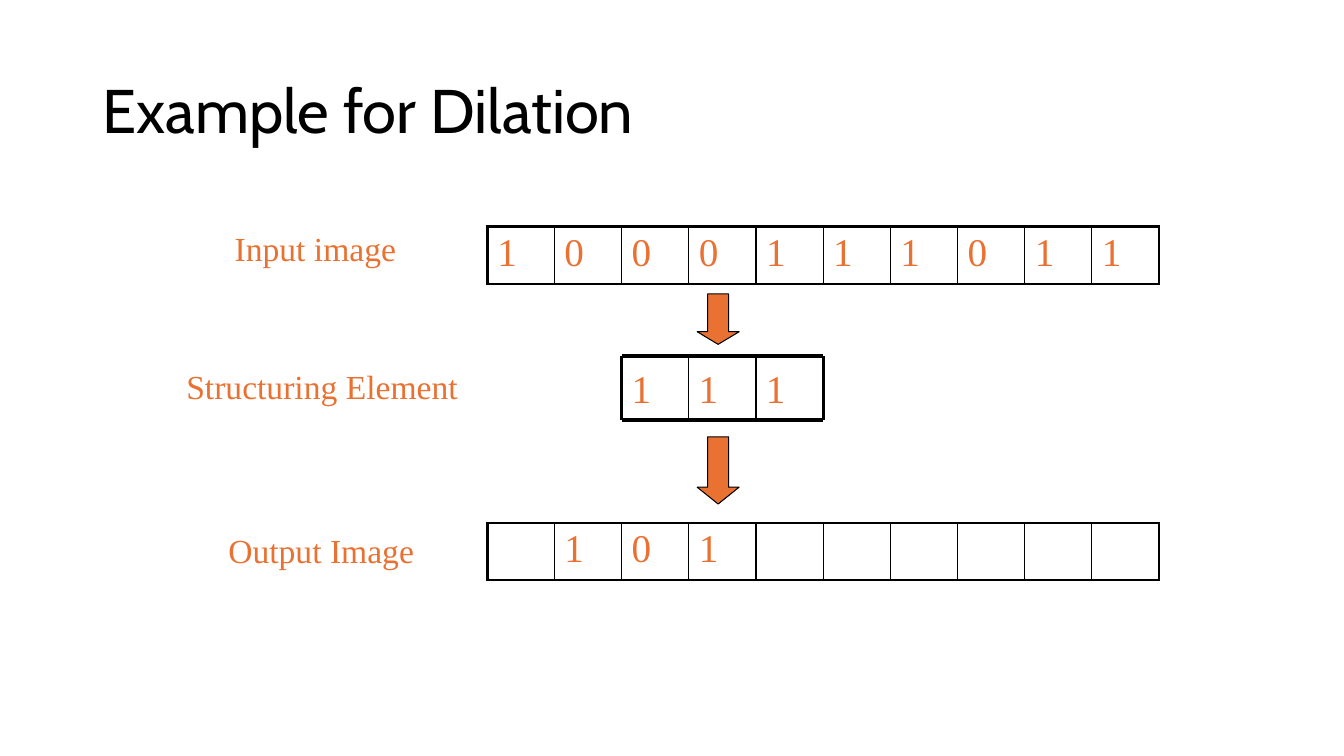
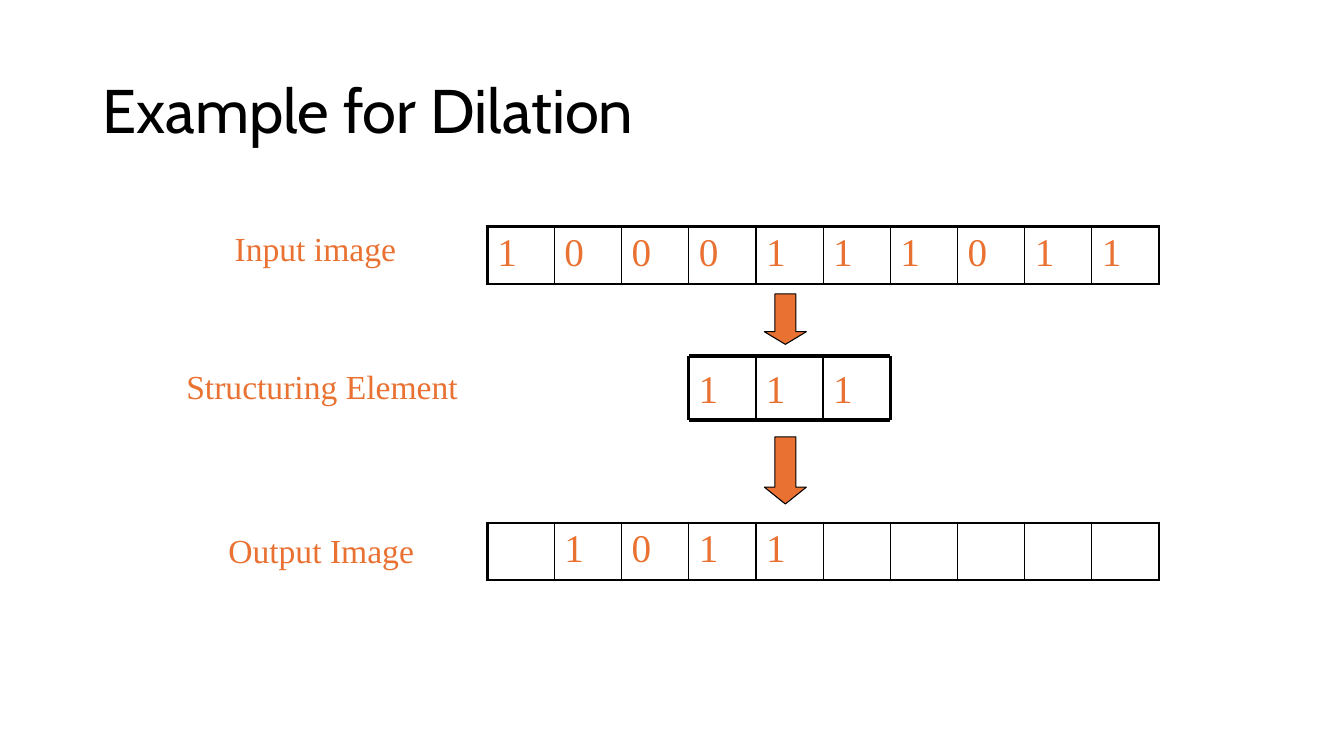
import lxml.etree
import pptx
import pptx.dml.color
import pptx.enum.shapes
import pptx.enum.text
import pptx.oxml.ns
import pptx.util

SCALE = 9525
CELL = 64
GRID_LEFT = 464
STRIP_HEIGHT = 54
ELEMENT_TOP = 339
ELEMENT_HEIGHT = 61
ARROW_WIDTH = 40
ARROW_OFFSET = 72
THICK = 2.25
THIN = 1
COLOURS = {"ink": "000000", "accent": "E97132"}
FONTS = {"title": "Cabin", "body": "Times New Roman"}
INPUT_BITS = "1000111011"
ELEMENT_BITS = "111"
LABELS = [
    ("Input image", 214, 212, 173),
    ("Structuring Element", 168, 344, 279),
    ("Output Image", 208, 500, 196),
]
ARROWS = [(280, 48, 0.3), (416, 64, 0.4)]
STEPS = [(2, " 101      "), (3, " 1011     ")]


class Deck:
    """Hold the shared style and the slide being drawn."""

    def __init__(self):
        self.presentation = pptx.Presentation()
        self.presentation.slide_width = self.px(1280)
        self.presentation.slide_height = self.px(720)
        self.slide = None

    def px(self, length):
        return pptx.util.Emu(length * SCALE)

    def box(self, *lengths):
        return [self.px(length) for length in lengths]

    def colour(self, name):
        return pptx.dml.color.RGBColor.from_string(COLOURS[name])

    def add_run(self, paragraph, text, size, font="body", colour="accent"):
        run = paragraph.add_run()
        run.text = text
        run.font.name = FONTS[font]
        run.font.size = pptx.util.Pt(size)
        run.font.color.rgb = self.colour(colour)

    def add_slide(self, title):
        layout = self.presentation.slide_layouts[5]
        self.slide = self.presentation.slides.add_slide(layout)
        shape = self.slide.shapes.title
        shape.left, shape.top, shape.width, shape.height = self.box(88, 39, 1104, 139)
        frame = shape.text_frame
        frame.word_wrap = True
        frame.auto_size = pptx.enum.text.MSO_AUTO_SIZE.NONE
        frame.vertical_anchor = pptx.enum.text.MSO_ANCHOR.MIDDLE
        paragraph = frame.paragraphs[0]
        paragraph.alignment = pptx.enum.text.PP_ALIGN.LEFT
        paragraph.line_spacing = 0.9
        self.add_run(paragraph, title, 44, "title", "ink")

    def add_label(self, text, left, top, width):
        shape = self.slide.shapes.add_textbox(*self.box(left, top, width, 48))
        frame = shape.text_frame
        frame.word_wrap = False
        frame.auto_size = pptx.enum.text.MSO_AUTO_SIZE.SHAPE_TO_FIT_TEXT
        self.add_run(frame.paragraphs[0], text, 24)

    def add_border(self, cell, side, points):
        properties = cell._tc.get_or_add_tcPr()
        line = lxml.etree.SubElement(properties, pptx.oxml.ns.qn(f"a:ln{side}"))
        line.set("w", str(int(pptx.util.Pt(points))))
        fill = lxml.etree.SubElement(line, pptx.oxml.ns.qn("a:solidFill"))
        colour = lxml.etree.SubElement(fill, pptx.oxml.ns.qn("a:srgbClr"))
        colour.set("val", COLOURS["ink"])

    def add_strip(self, bits, top):
        count = len(bits)
        bounds = self.box(GRID_LEFT, top, count * CELL, STRIP_HEIGHT)
        table = self.slide.shapes.add_table(1, count, *bounds).table
        table.first_row = table.horz_banding = False
        for index, bit in enumerate(bits):
            cell = table.cell(0, index)
            self.add_border(cell, "L", THICK if index == 0 else THIN)
            self.add_border(cell, "R", THICK if index == count - 1 else THIN)
            self.add_border(cell, "T", THICK)
            self.add_border(cell, "B", THICK)
            cell.fill.background()
            if bit.strip():
                self.add_run(cell.text_frame.paragraphs[0], bit, 28)

    def add_line(self, group, start, end, points):
        connector = group.shapes.add_connector(
            pptx.enum.shapes.MSO_CONNECTOR.STRAIGHT, *self.box(*start, *end)
        )
        connector.line.color.rgb = self.colour("ink")
        connector.line.width = pptx.util.Pt(points)
        properties = connector._element.spPr
        lxml.etree.SubElement(properties, pptx.oxml.ns.qn("a:effectLst"))

    def add_element(self, bits, left):
        group = self.slide.shapes.add_group_shape()
        count = len(bits)
        right = left + count * CELL
        bottom = ELEMENT_TOP + ELEMENT_HEIGHT
        for index, bit in enumerate(bits):
            bounds = self.box(left + index * CELL, ELEMENT_TOP, CELL, ELEMENT_HEIGHT)
            frame = group.shapes.add_textbox(*bounds).text_frame
            frame.word_wrap = True
            frame.vertical_anchor = pptx.enum.text.MSO_ANCHOR.MIDDLE
            self.add_run(frame.paragraphs[0], bit, 28)
        for y in (ELEMENT_TOP, bottom):
            self.add_line(group, (left, y), (right, y), THICK)
        for index in range(count + 1):
            x = left + index * CELL
            points = THICK if index in (0, count) else THIN
            self.add_line(group, (x, ELEMENT_TOP), (x, bottom), points)

    def add_arrow(self, left, top, height, head):
        shape = self.slide.shapes.add_shape(
            pptx.enum.shapes.MSO_SHAPE.DOWN_ARROW,
            *self.box(left, top, ARROW_WIDTH, height),
        )
        shape.adjustments[0] = 0.5
        shape.adjustments[1] = head
        shape.shadow.inherit = False
        shape.fill.solid()
        shape.fill.fore_color.rgb = self.colour("accent")
        shape.line.color.rgb = self.colour("ink")
        shape.line.width = pptx.util.Pt(0.75)


def main():
    deck = Deck()
    for position, output_bits in STEPS:
        element_left = GRID_LEFT + position * CELL
        deck.add_slide("Example for Dilation")
        for label in LABELS:
            deck.add_label(*label)
        deck.add_strip(INPUT_BITS, 216)
        deck.add_strip(output_bits, 498)
        deck.add_element(ELEMENT_BITS, element_left)
        for arrow in ARROWS:
            deck.add_arrow(element_left + ARROW_OFFSET, *arrow)
    deck.presentation.save("out.pptx")


if __name__ == "__main__":
    main()
